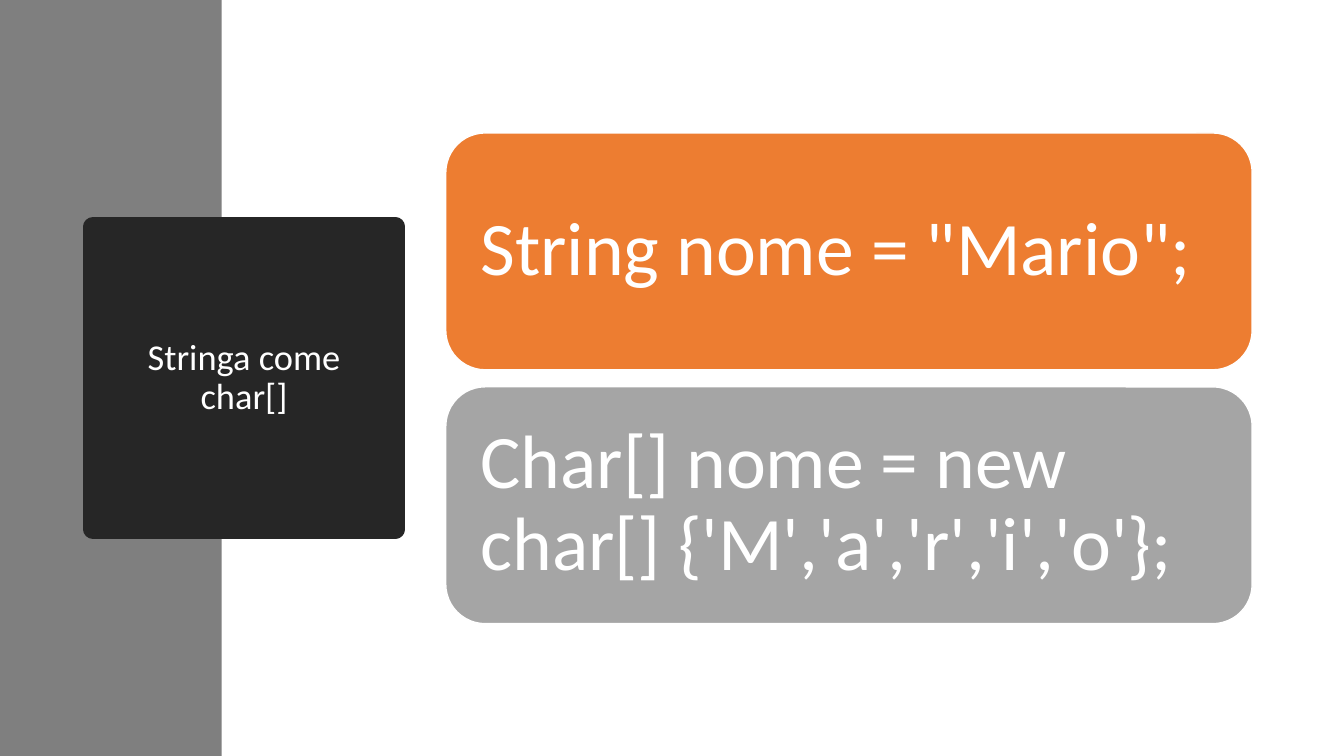
from lxml import etree
from pptx import Presentation
from pptx import util as u
from pptx.dml.color import RGBColor
from pptx.enum import shapes, text
from pptx.oxml.ns import qn

COLORS = {"bar": "7F7F7F", "title": "262626", "string": "ED7D31",
          "chars": "A5A5A5", "white": "FFFFFF"}
COLUMNS = ROWS = 12
CARD_TOP, CARD_HEIGHT, CARD_PITCH = 2.11, 3.76, 4.03
CARDS = [("String nome = \"Mario\";", "string"),
         ("Char[] nome = new char[] {'M','a','r','i','o'};", "chars")]


class SlideBuilder:
    font = "Calibri"

    def __init__(self, prs):
        self.prs = prs
        self.slide = prs.slides.add_slide(prs.slide_layouts[5])

    def place(self, col, row, cols, rows):
        """Turn grid columns and rows into left, top, width and height."""
        w, h = self.prs.slide_width / COLUMNS, self.prs.slide_height / ROWS
        return [round(v) for v in (col * w, row * h, cols * w, rows * h)]

    def paint(self, sp, fill, line=None, width=1):
        sp.fill.solid()
        sp.fill.fore_color.rgb = RGBColor.from_string(COLORS[fill])
        if line:
            sp.line.color.rgb = RGBColor.from_string(COLORS[line])
            sp.line.width = u.Pt(width)
        else:
            sp.line.fill.background()

    def set_text(self, sp, words, size, align, inset):
        tf = sp.text_frame
        tf.text = words
        frame = {"word_wrap": True, "auto_size": text.MSO_AUTO_SIZE.NONE,
                 "vertical_anchor": text.MSO_ANCHOR.MIDDLE}
        for side in ("left", "top", "right", "bottom"):
            frame[f"margin_{side}"] = u.Inches(inset)
        for name, value in frame.items():
            setattr(tf, name, value)
        p = tf.paragraphs[0]
        p.alignment, p.line_spacing = align, 0.9
        r = p.runs[0]
        for name, value in {"name": self.font, "size": u.Pt(size)}.items():
            setattr(r.font, name, value)
        r.font.color.rgb = RGBColor.from_string(COLORS["white"])

    def shape(self, kind, grid, fill, line=None):
        sp = self.slide.shapes.add_shape(kind, *self.place(*grid))
        sp.shadow.inherit = False
        self.paint(sp, fill, line)
        return sp

    def bar(self, grid):
        sp = self.shape(shapes.MSO_SHAPE.RECTANGLE, grid, "bar")
        self.slide.shapes.title.element.addprevious(sp.element)

    def title(self, words, grid):
        sp = self.slide.shapes.title
        sp.left, sp.top, sp.width, sp.height = self.place(*grid)
        self.paint(sp, "title", "title", 13.75)
        etree.SubElement(sp.element.spPr.find(qn("a:ln")), qn("a:round"))
        self.set_text(sp, words, 26, text.PP_ALIGN.CENTER, 0.4)

    def card(self, words, fill, grid):
        sp = self.shape(shapes.MSO_SHAPE.ROUNDED_RECTANGLE, grid, fill, "white")
        self.set_text(sp, words, 54, text.PP_ALIGN.LEFT, 0.23)


def main():
    prs = Presentation()
    prs.slide_width, prs.slide_height = u.Inches(13.33), u.Inches(7.5)
    s = SlideBuilder(prs)
    s.bar((0, 0, 1.98, ROWS))
    s.title("Stringa come char[]", (0.83, 3.6, 2.7, 4.8))
    for i, (words, fill) in enumerate(CARDS):
        s.card(words, fill, (3.98, CARD_TOP + i * CARD_PITCH, 7.2, CARD_HEIGHT))
    prs.save("out.pptx")


if __name__ == "__main__":
    main()
